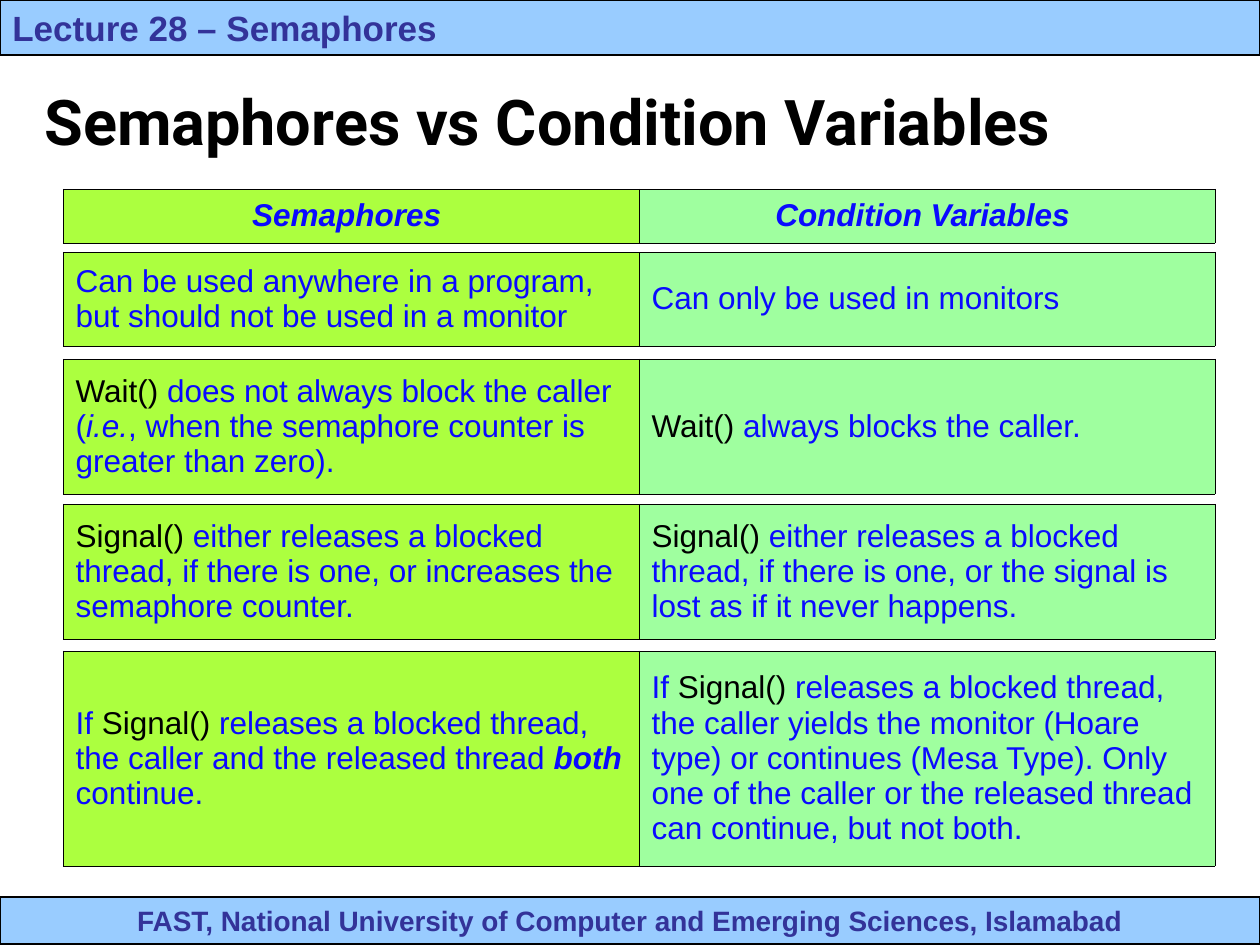
"""Build the slide comparing semaphores with condition variables."""
from typing import NamedTuple

from lxml.etree import SubElement
from pptx import Presentation
from pptx.dml.color import RGBColor
from pptx.enum.shapes import MSO_SHAPE
from pptx.enum.text import MSO_ANCHOR, PP_ALIGN
from pptx.oxml.ns import qn
from pptx.util import Emu, Pt

WIDTH, HEIGHT = 1260, 945
TABLE_LEFT, COLUMN_WIDTH = 63, 576
COLUMN_FILLS = ("ACFF3F", "9FFF9F")
BLACK, BLUE, NAVY, SKY = "000000", "0A0AFF", "333399", "99CCFF"


class Span(NamedTuple):
    """A stretch of text with one style."""
    text: str
    color: str = BLUE
    size: int = 18
    bold: bool = False
    italic: bool = False
    font: str = "Arial"


class Bar(NamedTuple):
    """A coloured band across the page."""
    top: int
    height: int
    span: Span
    align: PP_ALIGN


class Comparison(NamedTuple):
    """A one-row table setting two texts side by side."""
    top: int
    height: int
    cells: tuple[list[Span], list[Span]]
    align: PP_ALIGN = PP_ALIGN.LEFT


BARS = (
    Bar(897, 47, Span("FAST, National University of Computer and Emerging Sciences, Islamabad",
                      NAVY, 16, True), PP_ALIGN.CENTER),
    Bar(0, 55, Span("Lecture 28 – Semaphores", NAVY, 20, True), PP_ALIGN.LEFT),
)
TITLE = Span("Semaphores vs Condition Variables", BLACK, 36, True, font="Roboto")
WAIT, SIGNAL = Span("Wait()", BLACK), Span("Signal()", BLACK)
COMPARISONS = (
    Comparison(189, 54, (
        [Span("Semaphores ", bold=True, italic=True)],
        [Span("Condition Variables ", bold=True, italic=True)],
    ), PP_ALIGN.CENTER),
    Comparison(252, 94, (
        [Span("Can be used anywhere in a program, but should not be used in a monitor")],
        [Span("Can only be used in monitors")],
    )),
    Comparison(359, 135, (
        [WAIT, Span(" does not always block the caller ("), Span("i.e.", italic=True),
         Span(", when the semaphore counter is greater than zero).")],
        [WAIT, Span(" always blocks the caller.")],
    )),
    Comparison(504, 135, (
        [SIGNAL, Span(" either releases a blocked thread, if there is one, "
                      "or increases the semaphore counter.")],
        [SIGNAL, Span(" either releases a blocked thread, if there is one, "
                      "or the signal is lost as if it never happens.")],
    )),
    Comparison(651, 215, (
        [Span("If "), SIGNAL,
         Span(" releases a blocked thread, the caller and the released thread "),
         Span("both", bold=True, italic=True), Span(" continue.")],
        [Span("If "), SIGNAL,
         Span(" releases a blocked thread, the caller yields the monitor (Hoare type) "
              "or continues (Mesa Type). Only one of the caller or the released thread "
              "can continue, but not both.")],
    )),
)


def px(length: int) -> Emu:
    """Turn pixels into EMU."""
    return Emu(round(length * 914400 / 126))


def rgb(color: str) -> RGBColor:
    """Turn a hex string into a colour."""
    return RGBColor.from_string(color)


def write(frame, spans: list[Span], align: PP_ALIGN = PP_ALIGN.LEFT) -> None:
    """Fill the first paragraph of a text frame with styled runs."""
    frame.word_wrap = True
    para = frame.paragraphs[0]
    para.alignment = align
    for span in spans:
        run = para.add_run()
        run.text = span.text
        font = run.font
        font.name, font.size = span.font, Pt(span.size)
        font.bold, font.italic = span.bold, span.italic
        font.color.rgb = rgb(span.color)


def draw_bar(page, bar: Bar) -> None:
    """Draw a full-width band with its text."""
    box = page.shapes.add_shape(MSO_SHAPE.RECTANGLE, 0, px(bar.top), px(WIDTH), px(bar.height))
    box.shadow.inherit = False
    box.fill.solid()
    box.fill.fore_color.rgb = rgb(SKY)
    box.line.color.rgb = rgb(BLACK)
    box.line.width = Pt(0.75)
    box.text_frame.vertical_anchor = MSO_ANCHOR.MIDDLE
    write(box.text_frame, [bar.span], bar.align)


def draw_title(page) -> None:
    """Draw the slide title."""
    box = page.shapes.add_textbox(px(32), px(73), px(1134), px(95))
    box.text_frame.vertical_anchor = MSO_ANCHOR.MIDDLE
    write(box.text_frame, [TITLE])


def outline(cell) -> None:
    """Put a thin black border on every side of a cell."""
    properties = cell._tc.get_or_add_tcPr()
    for side in ("a:lnL", "a:lnR", "a:lnT", "a:lnB"):
        line = SubElement(properties, qn(side), w=str(Pt(0.34)))
        fill = SubElement(line, qn("a:solidFill"))
        SubElement(fill, qn("a:srgbClr"), val=BLACK)


def draw_comparison(page, comparison: Comparison) -> None:
    """Draw one row of the comparison as its own table."""
    table = page.shapes.add_table(1, 2, px(TABLE_LEFT), px(comparison.top),
                                  px(2 * COLUMN_WIDTH), px(comparison.height)).table
    table.first_row = table.horz_banding = False
    for column, (spans, color) in enumerate(zip(comparison.cells, COLUMN_FILLS)):
        table.columns[column].width = px(COLUMN_WIDTH)
        cell = table.cell(0, column)
        cell.vertical_anchor = MSO_ANCHOR.MIDDLE
        outline(cell)
        cell.fill.solid()
        cell.fill.fore_color.rgb = rgb(color)
        write(cell.text_frame, spans, comparison.align)


def main() -> None:
    """Build and save the deck."""
    deck = Presentation()
    deck.slide_width, deck.slide_height = px(WIDTH), px(HEIGHT)
    page = deck.slides.add_slide(deck.slide_layouts[6])
    for bar in BARS:
        draw_bar(page, bar)
    draw_title(page)
    for comparison in COMPARISONS:
        draw_comparison(page, comparison)
    deck.save("out.pptx")


if __name__ == "__main__":
    main()
